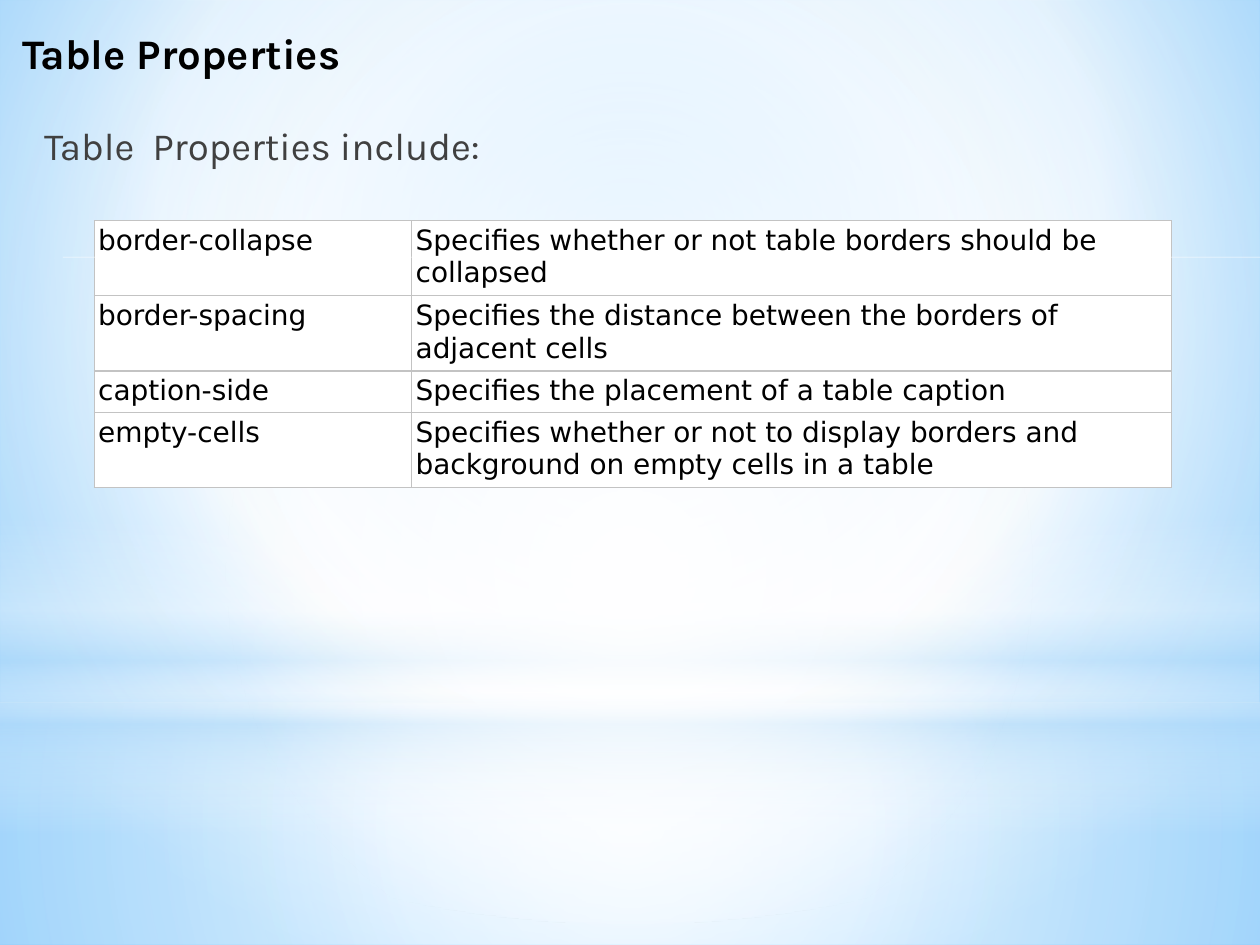
"""Build a slide that lists the CSS table properties."""
from dataclasses import dataclass

from lxml import etree
from pptx import Presentation
from pptx.dml.color import RGBColor
from pptx.enum.shapes import MSO_SHAPE
from pptx.oxml import parse_xml
from pptx.oxml.ns import nsdecls, qn
from pptx.util import Cm, Pt

RECT, OVAL = MSO_SHAPE.RECTANGLE, MSO_SHAPE.OVAL


@dataclass(frozen=True)
class Theme:
    heading_font: str = "Karla"
    table_font: str = "DejaVu Sans"
    title_size: int = 24
    lead_size: int = 22
    table_size: int = 16
    border_width: float = 0.75
    black: str = "000000"
    grey: str = "404040"
    white: str = "FFFFFF"
    border: str = "C3C3C3"
    pale: str = "B4DCFA"
    sky: str = "9ED5FF"
    deep: str = "5BB9FF"


T = Theme()
CENTRE = (50, 50, 50, 50)
TITLE = "Table Properties"
LEAD = "Table  Properties include:"
PROPERTIES = [
    ("border-collapse", "Specifies whether or not table borders should be collapsed", 2),
    ("border-spacing", "Specifies the distance between the borders of adjacent cells", 2),
    ("caption-side", "Specifies the placement of a table caption", 1),
    ("empty-cells", "Specifies whether or not to display borders and background "
                    "on empty cells in a table", 2),
]
COLUMNS = (6.4, 15.32)
TABLE_AT = (1.9, 4.45)
LINE_HEIGHT, CELL_INSET = 0.65, 0.08

BACKDROP = [(0, T.sky, 100), (60, T.white, 100), (100, T.deep, 100)]
BACKDROP_FOCUS = (20, 10, 20, 60)
GLOWS = [
    (RECT, (0, 14.17, 25.4, 4.88),
     [(0, T.white, 91), (37, T.white, 76), (100, T.pale, 79)], CENTRE),
    (RECT, (0, 0, 25.4, 14.17),
     [(0, T.white, 89), (48, T.white, 62), (100, T.pale, 79)], CENTRE),
    (RECT, (0, 10.46, 25.4, 6.35),
     [(0, T.white, 0), (29, T.white, 30), (45, T.pale, 40),
      (55, T.white, 26), (65, T.pale, 60), (100, T.white, 0)], None),
    (OVAL, (0, 4.45, 25.4, 14.17),
     [(0, T.white, 100), (56, T.white, 0)], CENTRE),
]


def cm(values):
    return [Cm(v) for v in values]


def set_gradient(fill, props, stops, focus):
    fill.solid()
    grad = parse_xml(f'<a:gradFill {nsdecls("a")} rotWithShape="1"><a:gsLst/></a:gradFill>')
    for pos, color, opacity in stops:
        gs = etree.SubElement(grad[0], qn("a:gs"), pos=str(pos * 1000))
        clr = etree.SubElement(gs, qn("a:srgbClr"), val=color)
        if opacity < 100:
            etree.SubElement(clr, qn("a:alpha"), val=str(opacity * 1000))
    if focus:
        path = etree.SubElement(grad, qn("a:path"), path="circle")
        sides = {k: str(v * 1000) for k, v in zip("ltrb", focus)}
        etree.SubElement(path, qn("a:fillToRect"), sides)
    else:
        etree.SubElement(grad, qn("a:lin"), ang="5400000", scaled="0")
    props.replace(props.find(qn("a:solidFill")), grad)


def add_plain_shape(s, kind, box):
    sp = s.shapes.add_shape(kind, *cm(box))
    sp.shadow.inherit = False
    sp.line.fill.background()
    return sp


def style(p, font, size, color, bold=False):
    p.font.name, p.font.size, p.font.bold = font, Pt(size), bold
    p.font.color.rgb = RGBColor.from_string(color)


def add_text(s, box, text, size, color, bold=False):
    tf = s.shapes.add_textbox(*cm(box)).text_frame
    tf.word_wrap = True
    p = tf.paragraphs[0]
    p.text = text
    style(p, T.heading_font, size, color, bold)
    return p


def fill_cell(cell, text):
    cell.text = text
    style(cell.text_frame.paragraphs[0], T.table_font, T.table_size, T.black)
    cell.margin_left = cell.margin_right = Cm(CELL_INSET)
    cell.margin_top = cell.margin_bottom = Cm(CELL_INSET)
    props = cell._tc.get_or_add_tcPr()
    for side in ("lnL", "lnR", "lnT", "lnB"):
        ln = etree.SubElement(props, qn(f"a:{side}"), w=str(Pt(T.border_width)))
        line_fill = etree.SubElement(ln, qn("a:solidFill"))
        etree.SubElement(line_fill, qn("a:srgbClr"), val=T.border)
    cell.fill.solid()
    cell.fill.fore_color.rgb = RGBColor.from_string(T.white)


def add_properties_table(s):
    heights = [lines * LINE_HEIGHT + 2 * CELL_INSET for *_, lines in PROPERTIES]
    box = (*TABLE_AT, sum(COLUMNS), sum(heights))
    table = s.shapes.add_table(len(PROPERTIES), len(COLUMNS), *cm(box)).table
    table.first_row = table.horz_banding = False
    for column, width in zip(table.columns, COLUMNS):
        column.width = Cm(width)
    for row, height, (name, meaning, _) in zip(table.rows, heights, PROPERTIES):
        row.height = Cm(height)
        for cell, text in zip(row.cells, (name, meaning)):
            fill_cell(cell, text)


def main():
    prs = Presentation()
    prs.slide_width, prs.slide_height = Cm(25.4), Cm(19.05)
    s = prs.slides.add_slide(prs.slide_layouts[6])

    fill = s.background.fill
    fill.solid()
    set_gradient(fill, s.element.find(".//" + qn("p:bgPr")), BACKDROP, BACKDROP_FOCUS)
    for kind, box, stops, focus in GLOWS:
        sp = add_plain_shape(s, kind, box)
        set_gradient(sp.fill, sp.element.spPr, stops, focus)

    add_text(s, (0.2, 0.43, 24.13, 1.19), TITLE, T.title_size, T.black, True)
    lead = add_text(s, (0.64, 2.34, 24.13, 15.67), LEAD, T.lead_size, T.grey)
    lead.space_after = Pt(3)
    add_properties_table(s)

    rule = add_plain_shape(s, RECT, (1.27, 5.18, 24.13, 0.01))
    rule.fill.solid()
    rule.fill.fore_color.rgb = RGBColor.from_string(T.white)
    prs.save("out.pptx")


if __name__ == "__main__":
    main()
